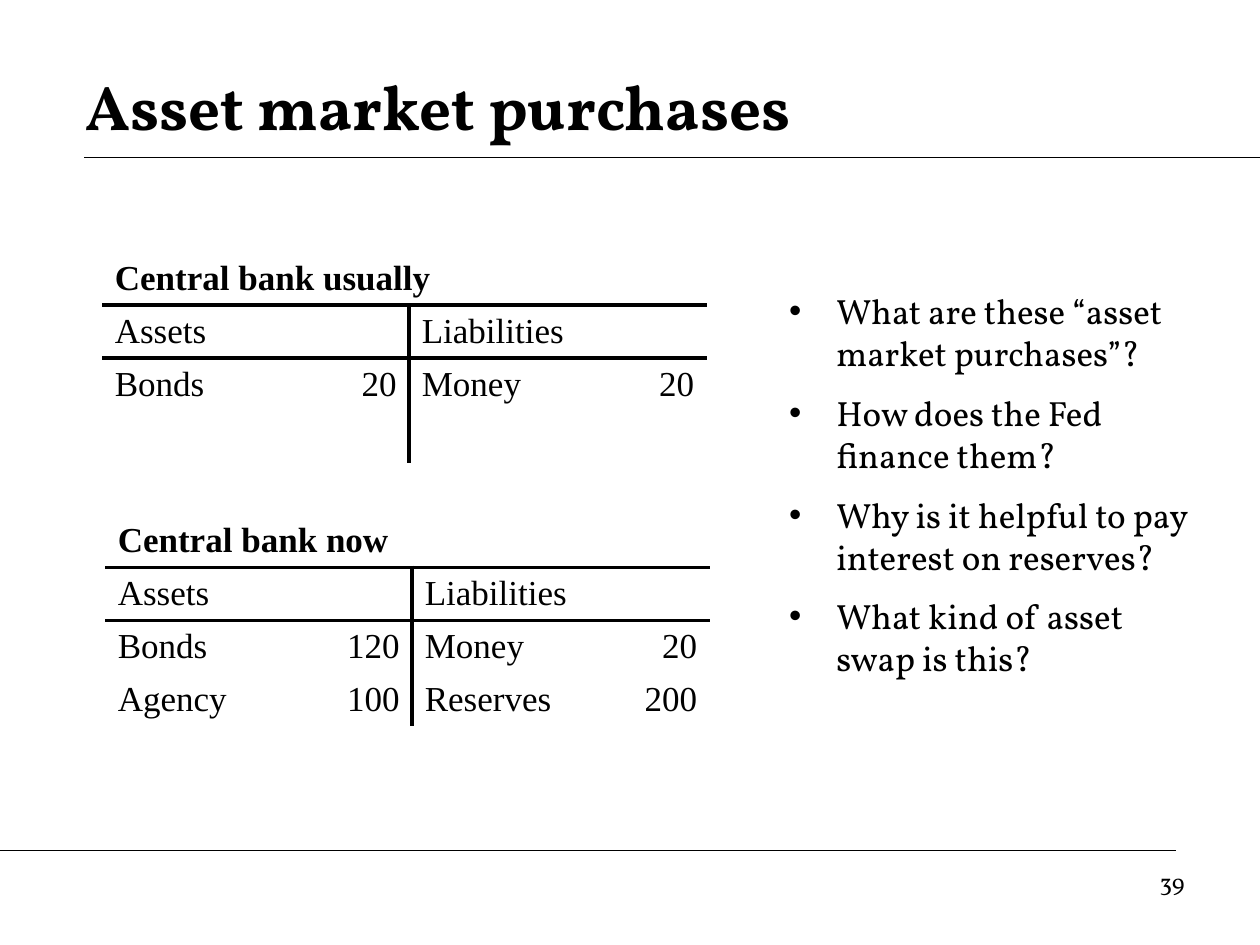
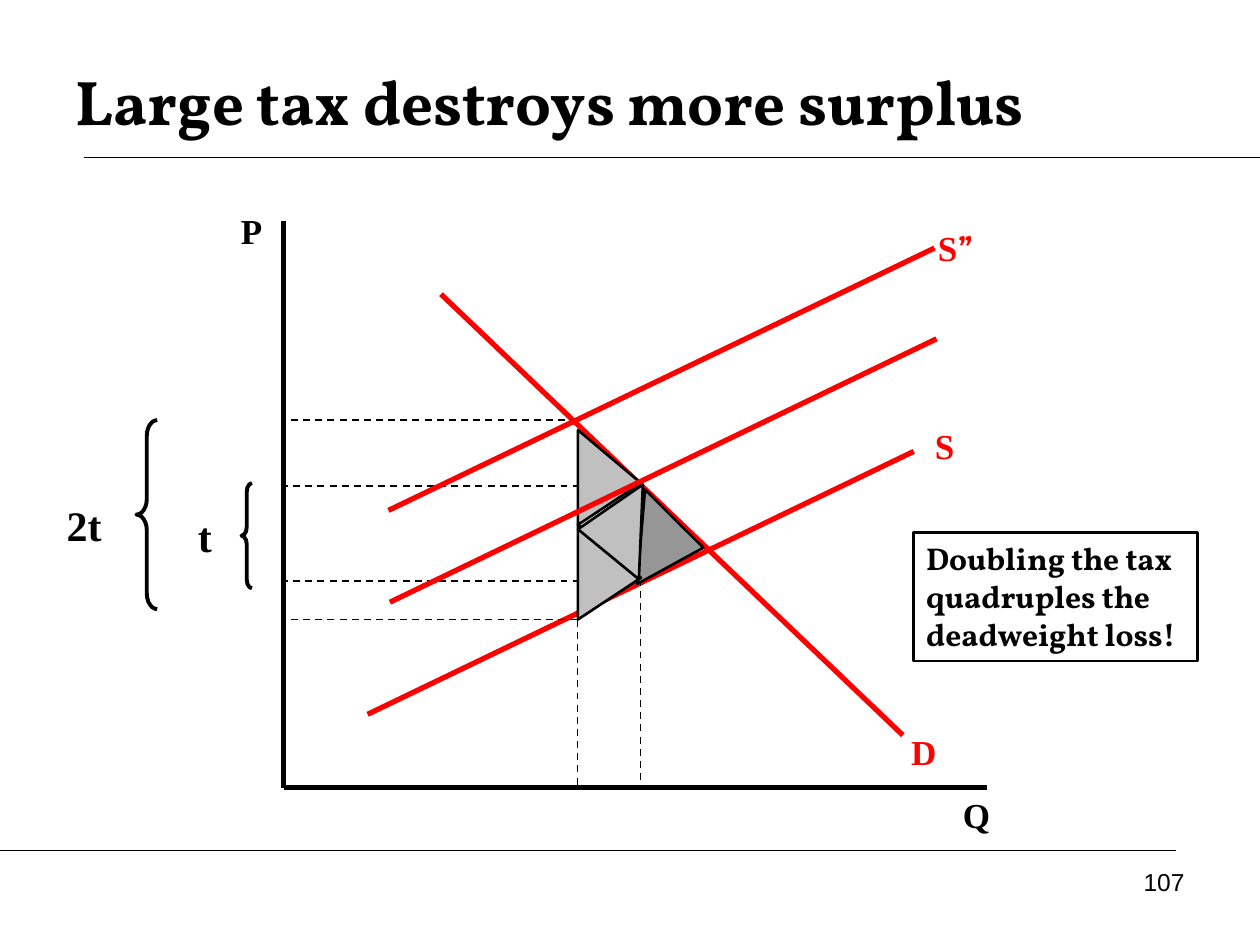
from dataclasses import dataclass
from lxml import etree
from pptx import Presentation
from pptx.dml.color import RGBColor
from pptx.enum.dml import MSO_LINE
from pptx.enum.shapes import MSO_CONNECTOR, MSO_SHAPE
from pptx.enum.text import MSO_ANCHOR, PP_ALIGN
from pptx.oxml.ns import qn
from pptx.util import Cm, Pt

LEFT, CENTER, RIGHT = PP_ALIGN.LEFT, PP_ALIGN.CENTER, PP_ALIGN.RIGHT
TOP, MIDDLE = MSO_ANCHOR.TOP, MSO_ANCHOR.MIDDLE
STRAIGHT, DASH = MSO_CONNECTOR.STRAIGHT, MSO_LINE.DASH
BOX, TRIANGLE, BRACE = MSO_SHAPE.RECTANGLE, MSO_SHAPE.ISOSCELES_TRIANGLE, MSO_SHAPE.LEFT_BRACE


@dataclass(frozen=True)
class Theme:
    ink: str = "000000"
    curve: str = "FF0000"
    light: str = "C0C0C0"
    dark: str = "969696"
    display: str = "Vollkorn"
    serif: str = "Times New Roman"
    sans: str = "Arial"
    title: int = 36
    tax: int = 24
    body: int = 20
    callout: int = 18
    number: int = 14
    hairline: float = 0.75
    guide: float = 1
    outline: float = 1.5
    rule: float = 2.25
    heavy: float = 3


T = Theme()

# All positions and sizes are in centimetres.
RULES = [((1.7, 3.18), (25.4, 3.18)), ((0, 17.15), (23.7, 17.15))]
NUMBER_BOX = (18.2, 17.36, 5.93, 1.31)

PURCHASES = dict(title="Asset market purchases", at=(1.48, 1.06, 22.01, 2.12),
                 number="39", number_font=T.display)
QUESTIONS = [
    "What are these “asset market purchases”?",
    "How does the Fed finance them?",
    "Why is it helpful to pay interest on reserves?",
    "What kind of asset swap is this?",
]
QUESTIONS_BOX = (15.66, 5.72, 8.69, 9.31)
ROW_HEIGHT = 1.04
ACCOUNTS = [
    dict(at=(2.06, 5.08), cols=(4.06, 2.13, 2.9, 3.1), rows=[
        ("Central bank usually", "", "", ""),
        ("Assets", "", "Liabilities", ""),
        ("Bonds", "20", "Money", "20"),
        ("", "", "", "")]),
    dict(at=(2.12, 10.37), cols=(4.06, 2.13, 3.99, 2.01), rows=[
        ("Central bank now", "", "", ""),
        ("Assets", "", "Liabilities", ""),
        ("Bonds", "120", "Money", "20"),
        ("Agency", "100", "Reserves", "200")]),
]

SURPLUS = dict(title="Large tax destroys more surplus", at=(1.27, 0.85, 22.86, 2.33),
               number="107", number_font=T.sans)
ORIGIN, P_TOP, Q_END = (5.72, 15.88), 4.45, 19.9
BASE_CURVES = [((18.42, 9.1), (7.41, 14.4)), ((8.89, 5.93), (18.2, 14.82))]
TAXED_SUPPLY = [((18.84, 5.0), (7.83, 10.29)), ((18.88, 6.83), (7.86, 12.14))]
# quantity, price buyers pay, price sellers get, top of the drop line
TAXES = [(12.91, 9.8, 11.71, 9.95), (11.64, 8.47, 12.49, 12.49)]
LOSS_SIZE = (1.91, 1.27)
# left, top, rotation, apex, fill
LOSSES = [
    (12.6, 10.24, 94.8, 0.56, T.dark),
    (11.33, 10.9, 90, 0.56, T.light),
    (11.33, 8.99, 90, 0.56, T.light),
    (11.33, 10.06, 272.4, 0.5, T.light),
]
BRACES = [((4.87, 9.74, 0.21, 2.12), 0.83), ((2.75, 8.47, 0.42, 3.81), 0.75)]
# text, place, size, colour
LABELS = [
    ("Q", (18.84, 15.88, 1.69, 1.09), T.body, T.ink),
    ("P", (4.23, 4.09, 1.69, 1.09), T.body, T.ink),
    ("D", (17.78, 14.61, 1.69, 1.09), T.body, T.curve),
    ("S", (18.2, 8.43, 1.69, 1.09), T.body, T.curve),
    ("S”", (18.42, 4.45, 1.69, 1.09), T.body, T.curve),
    ("t", (3.6, 10.16, 1.06, 1.27), T.tax, T.ink),
    ("2t", (0.85, 9.95, 1.69, 1.27), T.tax, T.ink),
]
CALLOUT = ("Doubling the tax quadruples the deadweight loss!", (18.42, 10.74, 5.72, 2.59))


def cm(values):
    return [Cm(v) for v in values]


def rgb(value):
    return RGBColor.from_string(value)


def write(tf, paras, *, size, font=T.serif, color=T.ink, bold=False, align=LEFT,
          anchor=TOP, gap=0, bullet=None, indent=0):
    """Fill a text frame with paragraphs; closing quotes use the display font."""
    tf.word_wrap = True
    tf.vertical_anchor = anchor
    for i, text in enumerate(paras):
        p = tf.paragraphs[0] if i == 0 else tf.add_paragraph()
        if bullet:
            pPr = p._p.get_or_add_pPr()
            pPr.set("marL", str(Cm(indent)))
            pPr.set("indent", str(-Cm(indent)))
            etree.SubElement(pPr, qn("a:buFont")).set("typeface", T.sans)
            etree.SubElement(pPr, qn("a:buChar")).set("char", bullet)
        p.alignment = align
        if i:
            p.space_before = Pt(gap)
        pieces = [text[:-1], "”"] if text.endswith("”") else [text]
        for piece in pieces:
            r = p.add_run()
            r.text = piece
            r.font.name = T.display if piece == "”" else font
            r.font.size, r.font.bold = Pt(size), bold
            r.font.color.rgb = rgb(color)


def add_text(s, paras, at, **fmt):
    write(s.shapes.add_textbox(*cm(at)).text_frame, paras, **fmt)


def add_line(s, start, end, color=T.ink, width=T.hairline, dash=None):
    line = s.shapes.add_connector(STRAIGHT, *cm(start + end))
    line.line.color.rgb = rgb(color)
    line.line.width = Pt(width)
    if dash:
        line.line.dash_style = dash
    etree.SubElement(line._element.spPr, qn("a:effectLst"))


def add_shape(s, kind, at, width, fill=None, adjust=(), rotation=0):
    sp = s.shapes.add_shape(kind, *cm(at))
    sp.shadow.inherit = False
    if fill:
        sp.fill.solid()
        sp.fill.fore_color.rgb = rgb(fill)
    else:
        sp.fill.background()
    sp.line.color.rgb = rgb(T.ink)
    sp.line.width = Pt(width)
    for i, value in enumerate(adjust):
        sp.adjustments[i] = value
    sp.rotation = rotation
    return sp


def set_borders(cell, sides):
    """Rule the given sides (of L, R, T, B) and clear the others."""
    tcPr = cell._tc.get_or_add_tcPr()
    for i, side in enumerate("LRTB"):
        ln = etree.Element(qn(f"a:ln{side}"))
        if side in sides:
            ln.set("w", str(Pt(T.rule)))
            fill = etree.SubElement(ln, qn("a:solidFill"))
            etree.SubElement(fill, qn("a:srgbClr")).set("val", T.ink)
        else:
            ln.set("w", "0")
            etree.SubElement(ln, qn("a:noFill"))
        tcPr.insert(i, ln)


def account_sides(row, col):
    """Sides ruled in a T-account: under the two headings and down the middle."""
    sides = ("T" if row in (1, 2) else "") + ("B" if row in (0, 1) else "")
    if row and col == 2:
        sides += "L"
    if row and (col == 1 or (row, col) == (1, 0)):
        sides += "R"
    return sides


def add_account(s, at, cols, rows):
    size = (sum(cols), ROW_HEIGHT * len(rows))
    table = s.shapes.add_table(len(rows), len(cols), *cm(at + size)).table
    table.first_row = table.horz_banding = False
    for column, width in zip(table.columns, cols):
        column.width = Cm(width)
    for r, row in enumerate(rows):
        table.rows[r].height = Cm(ROW_HEIGHT)
        for c, text in enumerate(row):
            cell = table.cell(r, c)
            cell.fill.background()
            set_borders(cell, account_sides(r, c))
            cell.margin_top = cell.margin_bottom = Cm(0.11)
            cell.vertical_anchor = MIDDLE
            if text:
                write(cell.text_frame, [text], size=T.body, bold=r == 0,
                      align=RIGHT if c % 2 else LEFT, anchor=None)
    for (r1, c1), (r2, c2) in [((0, 0), (0, 3)), ((1, 0), (1, 1)), ((1, 2), (1, 3))]:
        table.cell(r1, c1).merge(table.cell(r2, c2))


def new_slide(prs, title, at, number, number_font):
    s = prs.slides.add_slide(prs.slide_layouts[6])
    for start, end in RULES:
        add_line(s, start, end)
    add_text(s, [title], at, size=T.title, font=T.display, bold=True, anchor=MIDDLE)
    add_text(s, [number], NUMBER_BOX, size=T.number, font=number_font, align=RIGHT)
    return s


def purchases_slide(prs):
    s = new_slide(prs, **PURCHASES)
    for account in ACCOUNTS:
        add_account(s, **account)
    add_text(s, QUESTIONS, QUESTIONS_BOX, size=T.body, font=T.display,
             gap=T.body / 2, bullet="•", indent=0.95)


def surplus_slide(prs):
    s = new_slide(prs, **SURPLUS)
    axis_x, axis_y = ORIGIN
    add_line(s, (axis_x, P_TOP), ORIGIN, width=T.heavy)
    add_line(s, (Q_END, axis_y), ORIGIN, width=T.heavy)
    for start, end in BASE_CURVES:
        add_line(s, start, end, T.curve, T.heavy)
    for quantity, buyer, seller, top in TAXES:
        for price in (buyer, seller):
            add_line(s, (quantity, price), (axis_x, price), width=T.guide, dash=DASH)
        add_line(s, (quantity, top), (quantity, axis_y), width=T.guide, dash=DASH)
    for left, top, rotation, apex, fill in LOSSES:
        add_shape(s, TRIANGLE, (left, top) + LOSS_SIZE, T.outline, fill, (apex,), rotation)
    for at, curl in BRACES:
        add_shape(s, BRACE, at, T.rule, adjust=(curl, 0.5))
    for start, end in TAXED_SUPPLY:
        add_line(s, start, end, T.curve, T.heavy)
    for text, at, size, color in LABELS:
        add_text(s, [text], at, size=size, color=color, bold=True, align=CENTER)
    text, at = CALLOUT
    write(add_shape(s, BOX, at, T.outline).text_frame, [text],
          size=T.callout, font=T.display, bold=True)


def main():
    prs = Presentation()
    prs.slide_width, prs.slide_height = Cm(25.4), Cm(19.05)
    purchases_slide(prs)
    surplus_slide(prs)
    prs.save("out.pptx")


if __name__ == "__main__":
    main()
